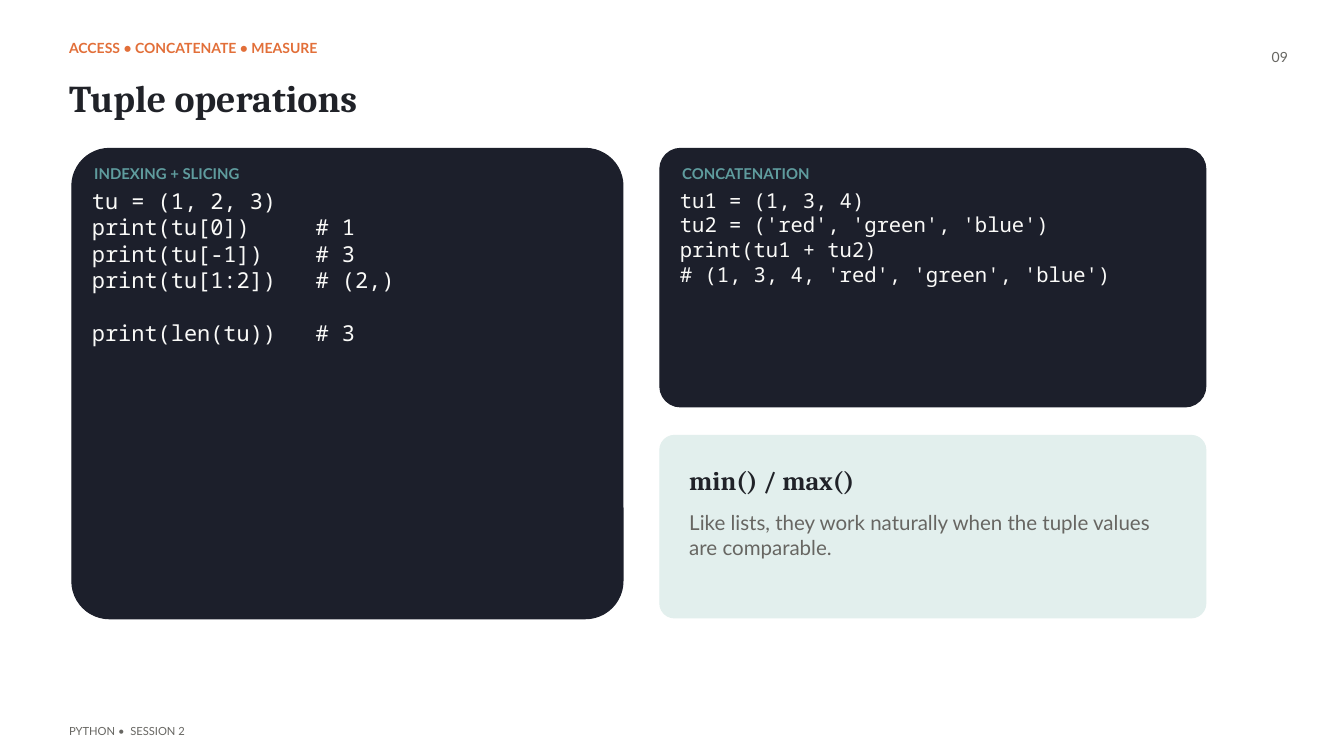
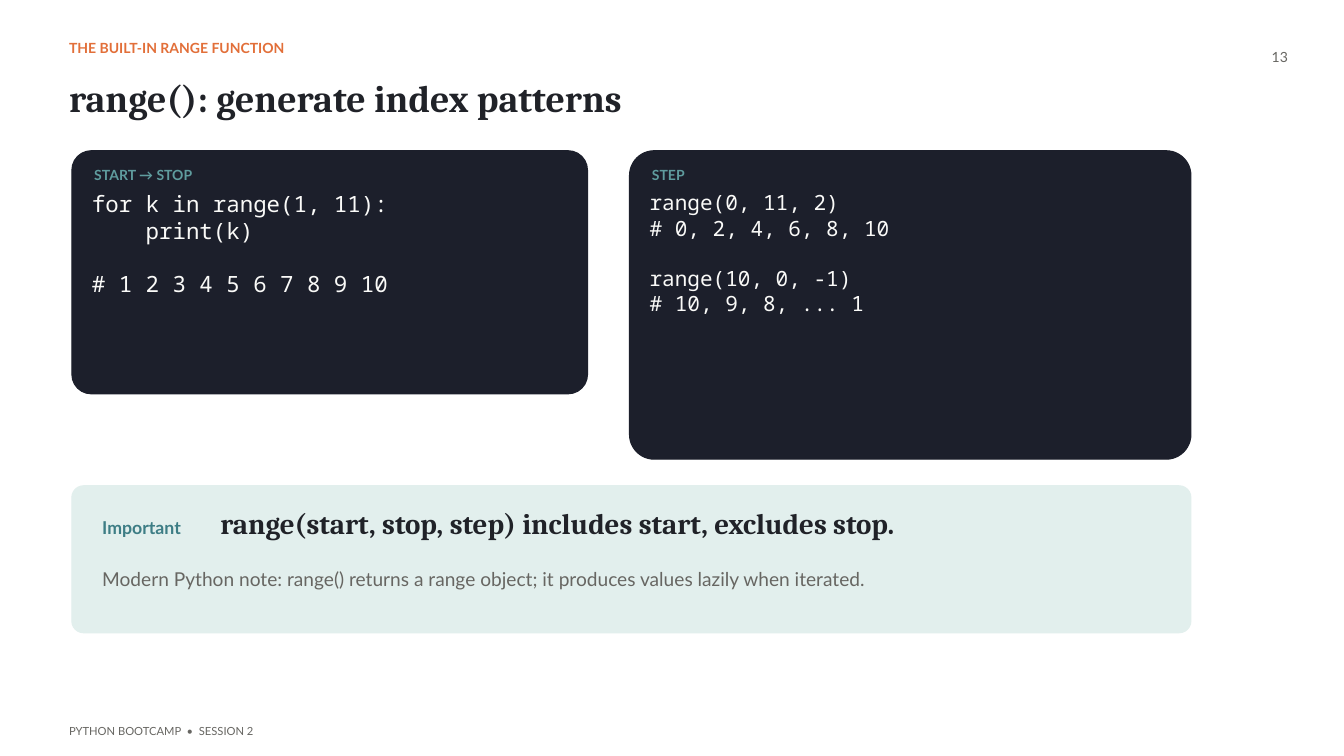
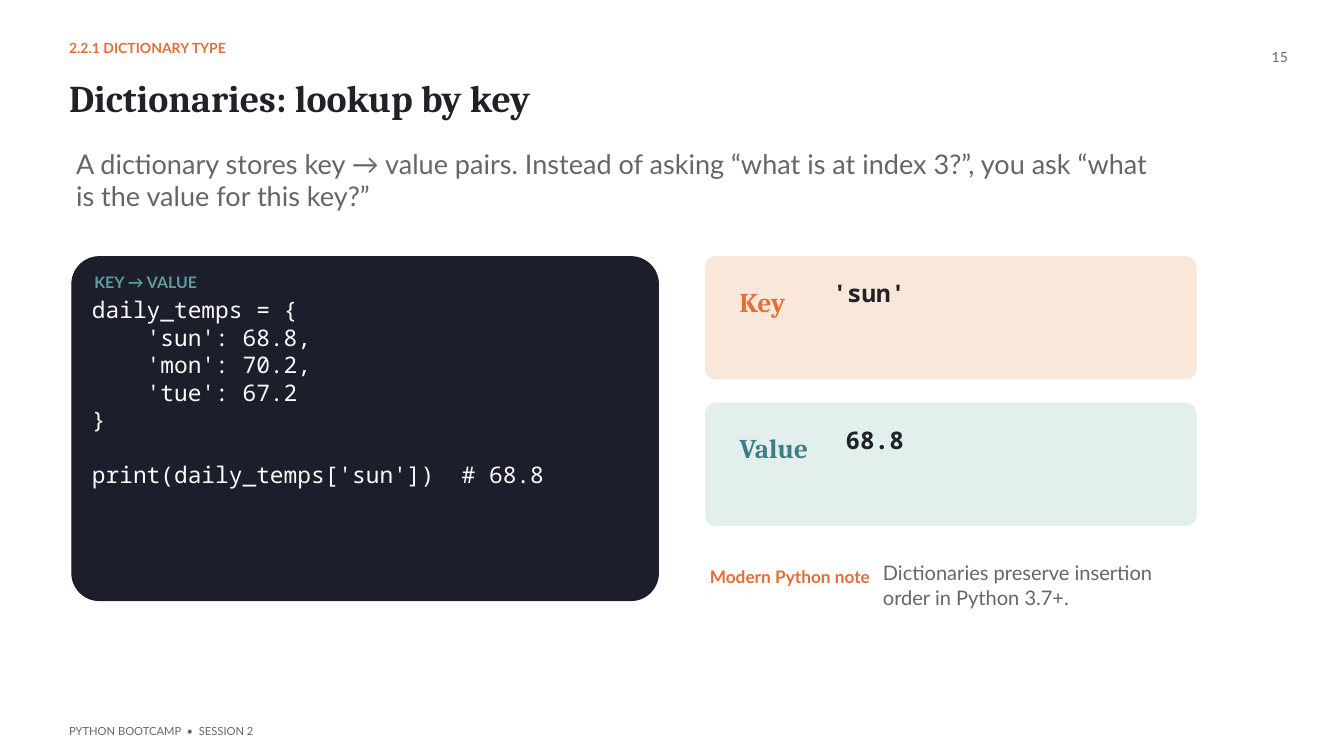
from pptx import Presentation
from pptx.dml.color import RGBColor
from pptx.enum.shapes import MSO_SHAPE
from pptx.enum.text import MSO_AUTO_SIZE, PP_ALIGN
from pptx.util import Pt

ROUNDED = MSO_SHAPE.ROUNDED_RECTANGLE
GROW = MSO_AUTO_SIZE.SHAPE_TO_FIT_TEXT
LEFT, RIGHT = PP_ALIGN.LEFT, PP_ALIGN.RIGHT

PAGE_SIZE = (1440, 810)
INK, GRAY, NIGHT, SNOW = "202228", "676662", "1C1F2B", "FAFAF8"
ORANGE, TEAL, SAGE = "E26F39", "3D7D85", "5F9C9E"
PEACH, MINT = "F9E7D9", "E2EFED"
SERIF, SANS, MONO = "Cambria", "Lato", "Noto Sans Mono"
LINE_RATIO, CORNER = 1.2, 0.08

# Text styles shared by the slides
STYLES = {
    "kicker": {"name": SANS, "size": 15, "color": ORANGE, "bold": True},
    "title": {"name": SERIF, "size": 40.5, "color": INK, "bold": True},
    "number": {"name": SANS, "size": 15, "color": GRAY},
    "footer": {"name": SANS, "size": 12, "color": GRAY},
    "body": {"name": SANS, "color": GRAY},
    "heading": {"name": SERIF, "color": INK, "bold": True},
    "label": {"name": SANS, "color": SAGE, "bold": True},
    "code": {"name": MONO, "color": SNOW},
    "value": {"name": MONO, "size": 26, "color": INK, "bold": True},
    "key": {"name": SERIF, "size": 29, "bold": True},
    "tag": {"name": SANS, "bold": True},
}

# Frame parts: style and place (left, top, width, height)
FRAME = {
    "kicker": (74, 42, 620, 31),
    "title": (74, 80.5, 1203, 64),
    "number": (1327.5, 52.5, 52.5, 31),
    "footer": (74, 776, 695.5, 16),
}

# Panels: place, label, label size, code size, code lines
# Cards: place, fill
# Texts: style, (left, top, width), size, text, other format values
SLIDES = [
    {
        "kicker": "ACCESS • CONCATENATE • MEASURE",
        "title": "Tuple operations",
        "number": "09",
        "footer": "PYTHON •  SESSION 2",
        "panels": [
            ((77, 159, 590.5, 504), "INDEXING + SLICING", 16, 23.5, [
                "tu = (1, 2, 3)",
                "print(tu[0])     # 1",
                "print(tu[-1])    # 3",
                "print(tu[1:2])   # (2,)",
                "",
                "print(len(tu))   # 3",
            ]),
            ((707, 159, 585, 277), "CONCATENATION", 16, 22, [
                "tu1 = (1, 3, 4)",
                "tu2 = ('red', 'green', 'blue')",
                "print(tu1 + tu2)",
                "# (1, 3, 4, 'red', 'green', 'blue')",
            ]),
        ],
        "cards": [((707, 466.5, 585, 195.5), MINT)],
        "texts": [
            ("heading", (738.5, 497.5, 196.5), 28, "min() / max()", {}),
            ("body", (738.5, 546.5, 495.5), 22,
             "Like lists, they work naturally when the tuple values are comparable.", {}),
        ],
    },
    {
        "kicker": "THE BUILT-IN RANGE FUNCTION",
        "title": "range(): generate index patterns",
        "number": "13",
        "footer": "PYTHON BOOTCAMP  •  SESSION 2",
        "panels": [
            ((77, 161.5, 552.5, 260.5), "START → STOP", 15, 24, [
                "for k in range(1, 11):",
                "    print(k)",
                "",
                "# 1 2 3 4 5 6 7 8 9 10",
            ]),
            ((674.5, 161.5, 601.5, 330.5), "STEP", 15, 22.5, [
                "range(0, 11, 2)",
                "# 0, 2, 4, 6, 8, 10",
                "",
                "range(10, 0, -1)",
                "# 10, 9, 8, ... 1",
            ]),
        ],
        "cards": [((77, 520.5, 1199, 157.5), MINT)],
        "texts": [
            ("tag", (109.5, 553.5, 122.5), 19, "Important", {"color": TEAL}),
            ("heading", (236, 542, 955), 31,
             "range(start, stop, step) includes start, excludes stop.", {}),
            ("body", (109.5, 607.5, 1052), 20.5,
             "Modern Python note: range() returns a range object; "
             "it produces values lazily when iterated.", {}),
        ],
    },
    {
        "kicker": "2.2.1 DICTIONARY TYPE",
        "title": "Dictionaries: lookup by key",
        "number": "15",
        "footer": "PYTHON BOOTCAMP  •  SESSION 2",
        "panels": [
            ((77, 275, 628.5, 368.5), "KEY → VALUE", 17, 24.5, [
                "daily_temps = {",
                "    'sun': 68.8,",
                "    'mon': 70.2,",
                "    'tue': 67.2",
                "}",
                "",
                "print(daily_temps['sun'])  # 68.8",
            ]),
        ],
        "cards": [((756, 275, 525.5, 131), PEACH), ((756, 432, 525.5, 131), MINT)],
        "texts": [
            ("body", (81.5, 157.5, 1160), 29,
             "A dictionary stores key → value pairs. Instead of asking “what is at index 3?”, "
             "you ask “what is the value for this key?”", {}),
            ("key", (792.5, 305.5, 57), 29, "Key", {"color": ORANGE}),
            ("value", (892, 298.5, 284.5), 26, "'sun'", {}),
            ("key", (792.5, 462.5, 86), 29, "Value", {"color": TEAL}),
            ("value", (906, 455.5, 284.5), 26, "68.8", {}),
            ("tag", (760.5, 607, 176.5), 18.5, "Modern Python note", {"color": ORANGE}),
            ("body", (946, 601, 317), 21.5,
             "Dictionaries preserve insertion order in Python 3.7+.", {}),
        ],
    },
]


def rgb(color):
    return RGBColor.from_string(color)


def add_text(page, style, place, lines, align=LEFT, **extra):
    """Add lines of text; an empty line becomes space before the next one."""
    values = {**STYLES[style], **extra}
    pitch = values["size"] * LINE_RATIO
    left, top, width = place[:3]
    height = place[3] if len(place) > 3 else pitch * len(lines)
    box = page.shapes.add_textbox(Pt(left), Pt(top), Pt(width), Pt(height))
    frame = box.text_frame
    frame.word_wrap = True
    frame.auto_size = GROW
    for side in ("left", "top", "right", "bottom"):
        setattr(frame, f"margin_{side}", 0)

    gap = 0
    para = frame.paragraphs[0]
    for index, line in enumerate(lines):
        if not line:
            gap += pitch
            continue
        if index:
            para = frame.add_paragraph()
        para.alignment = align
        para.line_spacing = Pt(pitch)
        if gap:
            para.space_before = Pt(gap)
            gap = 0
        span = para.add_run()
        span.text = line
        for name, value in values.items():
            if name == "color":
                span.font.color.rgb = rgb(value)
            else:
                setattr(span.font, name, Pt(value) if name == "size" else value)


def add_card(page, place, fill):
    card = page.shapes.add_shape(ROUNDED, *map(Pt, place))
    card.adjustments[0] = CORNER
    card.shadow.inherit = False
    card.fill.solid()
    card.fill.fore_color.rgb = rgb(fill)
    card.line.color.rgb = rgb(fill)
    card.line.width = Pt(1.13)


def add_code_panel(page, place, label, label_size, code_size, lines):
    left, top, width, _ = place
    add_card(page, place, NIGHT)
    add_text(page, "label", (left + 24, top + 17, width - 48), [label], size=label_size)
    add_text(page, "code", (left + 21.5, top + 42, width - 43), lines, size=code_size)


def build_slide(deck, content):
    page = deck.slides.add_slide(deck.slide_layouts[6])
    for part, place in FRAME.items():
        add_text(page, part, place, [content[part]], RIGHT if part == "number" else LEFT)
    for panel in content["panels"]:
        add_code_panel(page, *panel)
    for card in content["cards"]:
        add_card(page, *card)
    for style, place, size, text, extra in content["texts"]:
        add_text(page, style, place, [text], size=size, **extra)


def main():
    deck = Presentation()
    deck.slide_width, deck.slide_height = map(Pt, PAGE_SIZE)
    for content in SLIDES:
        build_slide(deck, content)
    deck.save("out.pptx")


if __name__ == "__main__":
    main()
